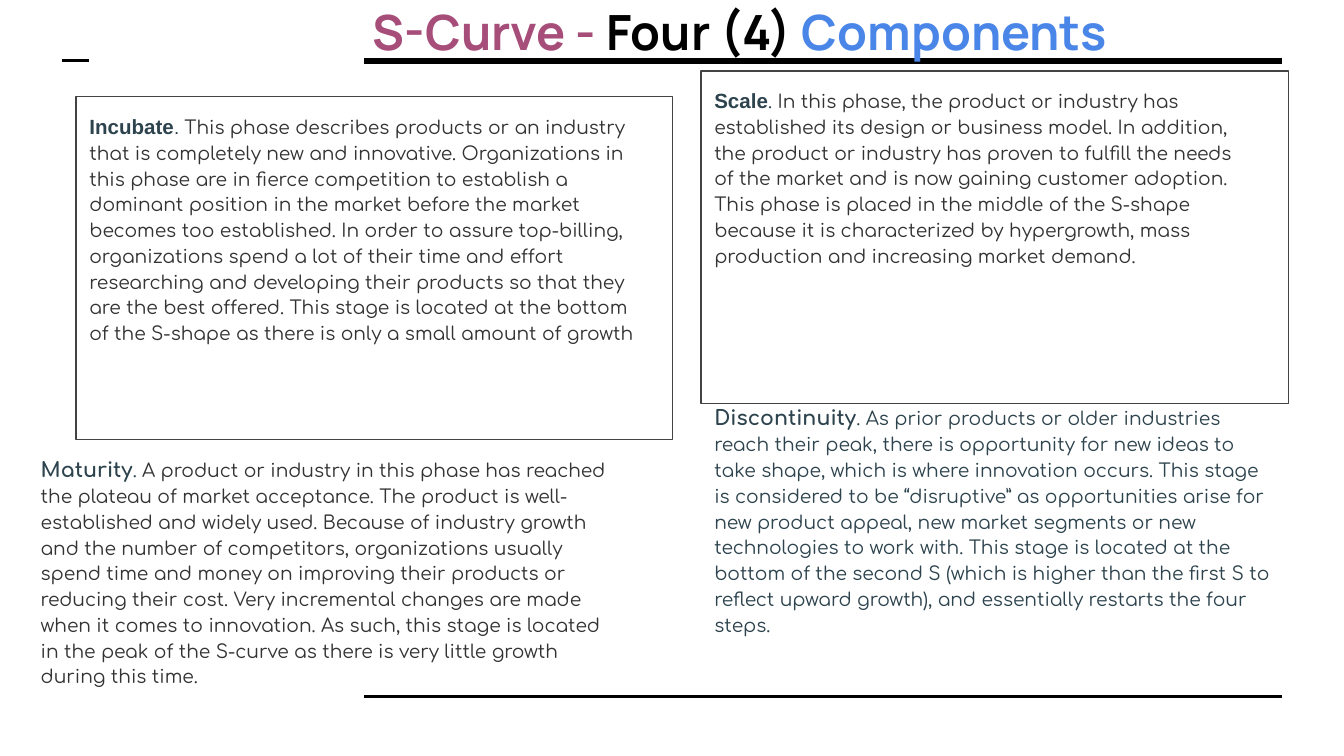
from pptx import Presentation
from pptx.dml.color import RGBColor
from pptx.enum.shapes import MSO_CONNECTOR, MSO_SHAPE
from pptx.enum.text import MSO_ANCHOR, PP_ALIGN
from pptx.oxml.ns import qn
from pptx.util import Cm, Pt
from lxml.etree import SubElement

BLACK, SLATE, GRAY = "000000", "2D434D", "333333"
SOFT, SANS, HEAD = "Comfortaa", "Arial", "Manrope"

INCUBATE = (
    "This phase describes products or an industry that is completely new and "
    "innovative. Organizations in this phase are in fierce competition to "
    "establish a dominant position in the market before the market becomes too "
    "established. In order to assure top-billing, organizations spend a lot of "
    "their time and effort researching and developing their products so that "
    "they are the best offered. This stage is located at the bottom of the "
    "S-shape as there is only a small amount of growth"
)
SCALE = (
    " In this phase, the product or industry has established its design or "
    "business model. In addition, the product or industry has proven to fulfill "
    "the needs of the market and is now gaining customer adoption. This phase "
    "is placed in the middle of the S-shape because it is characterized by "
    "hypergrowth, mass production and increasing market demand."
)
MATURITY = (
    "A product or industry in this phase has reached the plateau of market "
    "acceptance. The product is well-established and widely used. Because of "
    "industry growth and the number of competitors, organizations usually spend "
    "time and money on improving their products or reducing their cost. Very "
    "incremental changes are made when it comes to innovation. As such, this "
    "stage is located in the peak of the S-curve as there is very little growth "
    "during this time."
)
BREAK = (
    ". As prior products or older industries reach their peak, there is "
    "opportunity for new ideas to take shape, which is where innovation occurs. "
    "This stage is considered to be “disruptive” as opportunities arise for new "
    "product appeal, new market segments or new technologies to work with. This "
    "stage is located at the bottom of the second S (which is higher than the "
    "first S to reflect upward growth), and essentially restarts the four steps."
)


def color(code):
    """Turn a hex string into a colour."""
    return RGBColor.from_string(code)


def add_rule(slide, left, right, y, weight):
    """Draw a level black rule."""
    rule = slide.shapes.add_connector(
        MSO_CONNECTOR.STRAIGHT, Cm(left), Cm(y), Cm(right), Cm(y))
    rule.line.color.rgb = color(BLACK)
    rule.line.width = Pt(weight)
    SubElement(rule._element.spPr, qn("a:effectLst"))


def add_run(para, text, size, font, code, bold=False):
    """Append one styled run."""
    run = para.add_run()
    run.text = text
    run.font.size = Pt(size)
    run.font.name = font
    run.font.bold = bold
    run.font.color.rgb = color(code)


def set_frame(shape, anchor):
    """Set wrap, insets and anchor, and return the first paragraph."""
    frame = shape.text_frame
    frame.word_wrap = True
    frame.vertical_anchor = anchor
    frame.margin_left = frame.margin_right = Cm(0.25)
    frame.margin_top = frame.margin_bottom = Cm(0.25)
    para = frame.paragraphs[0]
    para.alignment = PP_ALIGN.LEFT
    return para


def add_title(slide, parts):
    """Add the heading from pairs of text and colour."""
    box = slide.shapes.add_textbox(Cm(6.8), Cm(0), Cm(17.55), Cm(1.17))
    para = set_frame(box, MSO_ANCHOR.MIDDLE)
    for text, code in parts:
        add_run(para, text, 26, HEAD, code, True)


def add_phase(slide, place, name, font, parts, framed=False, after=28):
    """Add a phase text with a right indent, and a thin frame if asked."""
    area = [Cm(n) for n in place]
    if framed:
        box = slide.shapes.add_shape(MSO_SHAPE.RECTANGLE, *area)
        box.shadow.inherit = False
        box.fill.background()
        box.line.color.rgb = color("434343")
        box.line.width = Pt(0.75)
    else:
        box = slide.shapes.add_textbox(*area)
    para = set_frame(box, MSO_ANCHOR.TOP)
    para.line_spacing = 1.15
    para.space_before = Pt(18)
    para.space_after = Pt(after)
    para._p.get_or_add_pPr().set("marR", str(Pt(11)))
    add_run(para, name, 11, font, SLATE, True)
    for text, face, code in parts:
        add_run(para, text, 10, face, code)


def main():
    """Build and save the slide."""
    deck = Presentation()
    deck.slide_width, deck.slide_height = Cm(25.4), Cm(14.29)
    slide = deck.slides.add_slide(deck.slide_layouts[6])
    add_rule(slide, 6.88, 24.23, 1.15, 3)
    add_rule(slide, 6.88, 24.23, 13.16, 1.5)
    add_rule(slide, 1.18, 1.69, 1.15, 1.5)
    add_title(slide, [("S-Curve -", "A64D79"), (" Four (4) ", BLACK),
                      ("Components", "4A86E8")])
    add_phase(slide, (1.44, 1.83, 11.27, 6.48), "Incubate", SANS,
              [(". ", SANS, SLATE), (INCUBATE, SOFT, GRAY)], framed=True)
    add_phase(slide, (13.25, 1.34, 11.1, 6.29), "Scale", SANS,
              [(".", SOFT, SLATE), (SCALE, SOFT, GRAY)], framed=True)
    add_phase(slide, (0.52, 8.32, 11.61, 5.79), "Maturity", SOFT,
              [(". ", SOFT, SLATE), (MATURITY, SOFT, GRAY)], after=0)
    add_phase(slide, (13.25, 7.34, 11.43, 5.79), "Discontinuity", SOFT,
              [(BREAK, SOFT, SLATE)])
    deck.save("out.pptx")


if __name__ == "__main__":
    main()
